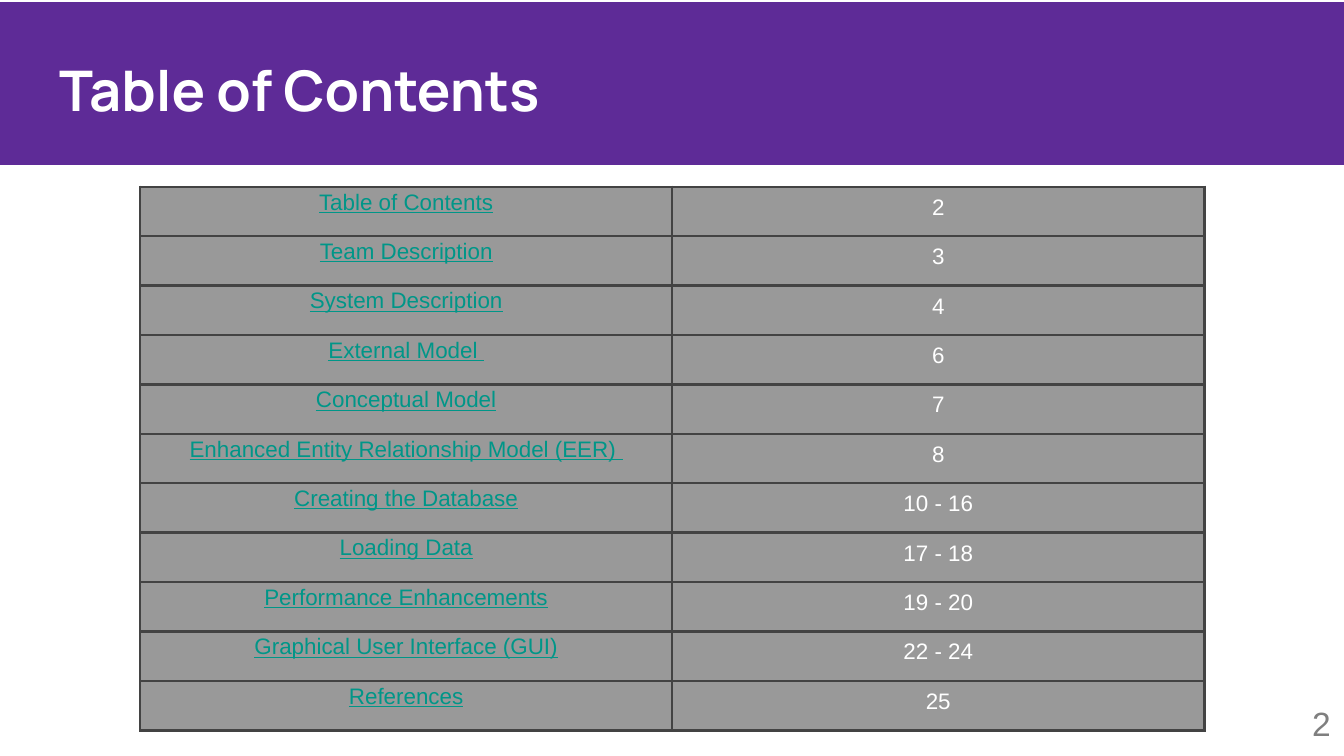
from dataclasses import dataclass

from lxml import etree
from pptx import Presentation
from pptx.dml.color import RGBColor
from pptx.enum.shapes import MSO_SHAPE
from pptx.enum.text import MSO_ANCHOR, PP_ALIGN
from pptx.oxml.ns import qn
from pptx.util import Cm, Pt

RECTANGLE = MSO_SHAPE.RECTANGLE
TOP, MIDDLE, BOTTOM = MSO_ANCHOR.TOP, MSO_ANCHOR.MIDDLE, MSO_ANCHOR.BOTTOM
LEFT, CENTER, RIGHT = PP_ALIGN.LEFT, PP_ALIGN.CENTER, PP_ALIGN.RIGHT


@dataclass(frozen=True)
class Theme:
    purple: str = "5E2B97"
    white: str = "FFFFFF"
    teal: str = "009688"
    cell_gray: str = "999999"
    border_gray: str = "434343"
    number_gray: str = "7F7F7F"
    title_font: str = "Manrope"
    body_font: str = "Arial"
    title_size: int = 30
    number_size: int = 18
    cell_size: int = 12
    border_width: float = 1.5
    inset: float = 0.25


CONTENTS = [
    ("Table of Contents", "2"),
    ("Team Description", "3"),
    ("System Description", "4"),
    ("External Model ", "6"),
    ("Conceptual Model", "7"),
    ("Enhanced Entity Relationship Model (EER) ", "8"),
    ("Creating the Database", "10 - 16"),
    ("Loading Data", "17 - 18"),
    ("Performance Enhancements", "19 - 20"),
    ("Graphical User Interface (GUI)", "22 - 24"),
    ("References", "25"),
]


class PageBuilder:
    def __init__(self, page, theme):
        self.page = page
        self.theme = theme

    def fill_text(self, frame, text, size, color, align=LEFT, font=None,
                  bold=False, underline=False, spacing=1.0):
        frame.text = text
        para = frame.paragraphs[0]
        para.alignment = align
        para.line_spacing = spacing
        span = para.runs[0]
        span.font.name = font or self.theme.body_font
        span.font.size = Pt(size)
        span.font.bold = bold
        span.font.underline = underline
        span.font.color.rgb = RGBColor.from_string(color)

    def set_insets(self, target):
        inset = Cm(self.theme.inset)
        target.margin_left = target.margin_right = inset
        target.margin_top = target.margin_bottom = inset

    def band(self, left, top, width, height, color):
        band = self.page.shapes.add_shape(
            RECTANGLE, Cm(left), Cm(top), Cm(width), Cm(height))
        band.shadow.inherit = False
        band.fill.solid()
        band.fill.fore_color.rgb = RGBColor.from_string(color)
        band.line.color.rgb = RGBColor.from_string(color)
        band.line.width = Pt(0.75)

    def text(self, left, top, width, height, text, size, color,
             anchor=TOP, **style):
        box = self.page.shapes.add_textbox(
            Cm(left), Cm(top), Cm(width), Cm(height))
        frame = box.text_frame
        frame.word_wrap = True
        frame.vertical_anchor = anchor
        self.set_insets(frame)
        self.fill_text(frame, text, size, color, **style)

    def border(self, cell):
        properties = cell._tc.get_or_add_tcPr()
        for side in ("a:lnL", "a:lnR", "a:lnT", "a:lnB"):
            line = etree.SubElement(properties, qn(side),
                                    w=str(Pt(self.theme.border_width)))
            fill = etree.SubElement(line, qn("a:solidFill"))
            etree.SubElement(fill, qn("a:srgbClr"),
                             val=self.theme.border_gray)

    def cell(self, cell, text, color, anchor, underline):
        self.set_insets(cell)
        cell.vertical_anchor = anchor
        self.border(cell)
        cell.fill.solid()
        cell.fill.fore_color.rgb = RGBColor.from_string(self.theme.cell_gray)
        self.fill_text(cell.text_frame, text, self.theme.cell_size, color,
                       align=CENTER, underline=underline, spacing=0.5)

    def contents_table(self, left, top, width, height, entries):
        table = self.page.shapes.add_table(
            len(entries), 2, Cm(left), Cm(top), Cm(width), Cm(height)).table
        table.first_row = False
        table.horz_banding = False
        for row, (topic, pages) in enumerate(entries):
            self.cell(table.cell(row, 0), topic, self.theme.teal, TOP, True)
            self.cell(table.cell(row, 1), pages, self.theme.white, MIDDLE, False)


def main():
    theme = Theme()
    deck = Presentation()
    deck.slide_width, deck.slide_height = Cm(25.4), Cm(14.29)
    page = deck.slides.add_slide(deck.slide_layouts[6])
    builder = PageBuilder(page, theme)

    builder.band(0, 0.05, 25.4, 3.05, theme.purple)
    builder.text(0.87, 0.81, 23.67, 1.73, "Table of Contents",
                 theme.title_size, theme.white,
                 font=theme.title_font, bold=True)
    builder.text(24.53, 12.87, 0.87, 1.42, "2",
                 theme.number_size, theme.number_gray,
                 anchor=BOTTOM, align=RIGHT, spacing=1.15)
    builder.contents_table(2.65, 3.53, 20.11, 10.28, CONTENTS)

    deck.save("out.pptx")


if __name__ == "__main__":
    main()
